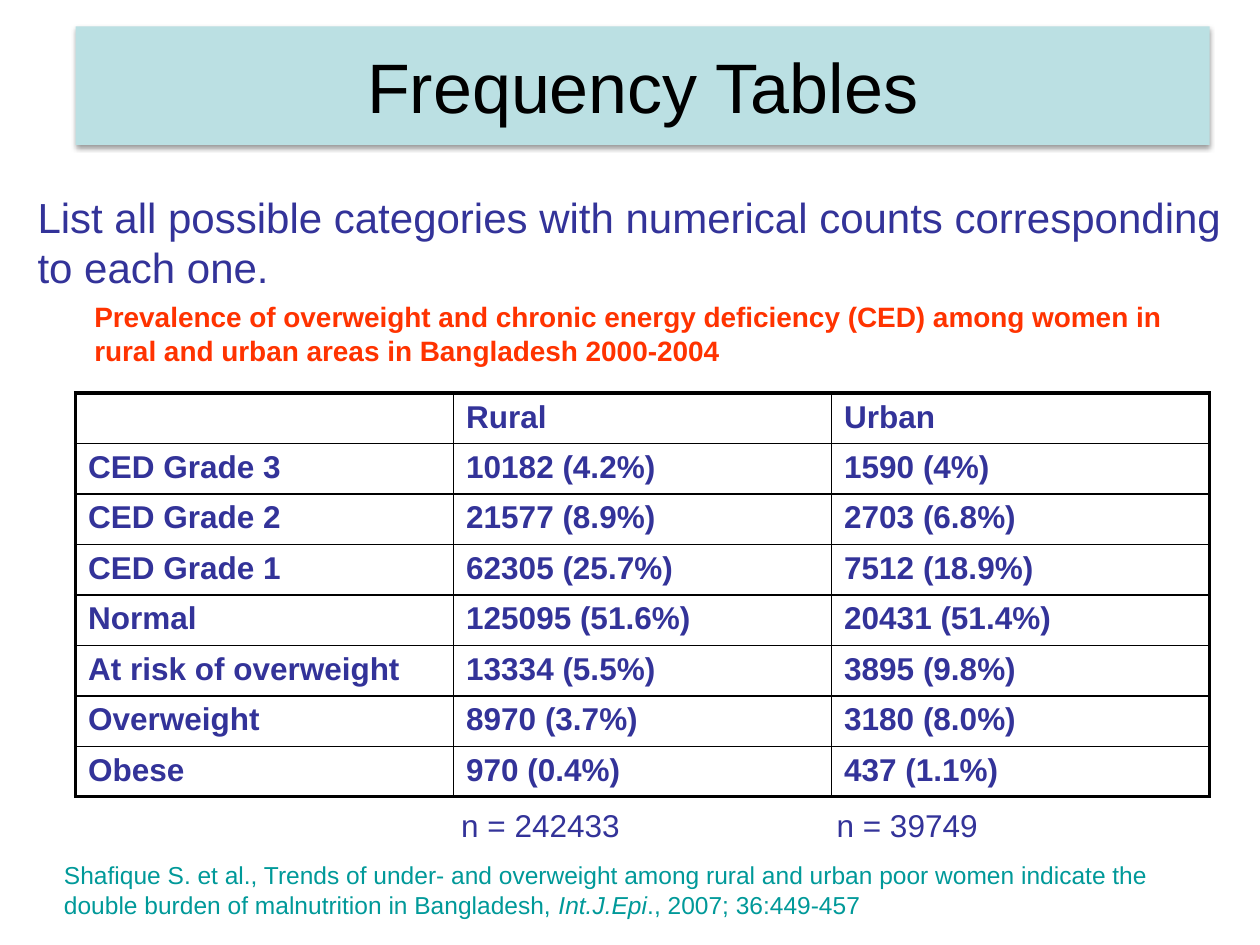
from lxml import etree
from pptx import Presentation
from pptx.dml.color import RGBColor
from pptx.enum import shapes, text
from pptx.oxml import parse_xml
from pptx.oxml.ns import nsdecls, qn
from pptx.util import Inches, Pt

FONT = "Arial"
BLACK = RGBColor(0x00, 0x00, 0x00)
PALE_TEAL = RGBColor(0xBB, 0xE0, 0xE3)
INDIGO = RGBColor(0x33, 0x33, 0x99)
RED = RGBColor(0xFF, 0x33, 0x00)
TEAL = RGBColor(0x00, 0x99, 0x99)

# Content
TITLE = "Frequency Tables"
INTRO = "List all possible categories with numerical counts corresponding to each one."
CAPTION = ("Prevalence of overweight and chronic energy deficiency (CED) among "
           "women in rural and urban areas in Bangladesh 2000-2004")
ROWS = [
    ("", "Rural", "Urban"),
    ("CED Grade 3", "10182 (4.2%)", "1590 (4%)"),
    ("CED Grade 2", "21577 (8.9%)", "2703 (6.8%)"),
    ("CED Grade 1", "62305 (25.7%)", "7512 (18.9%)"),
    ("Normal", "125095 (51.6%)", "20431 (51.4%)"),
    ("At risk of overweight", "13334 (5.5%)", "3895 (9.8%)"),
    ("Overweight", "8970 (3.7%)", "3180 (8.0%)"),
    ("Obese", "970 (0.4%)", "437 (1.1%)"),
]
TOTALS = ["n = 242433", "n = 39749"]
SOURCE = [
    ("Shafique S. et al., Trends of under- and overweight among rural and urban "
     "poor women indicate the double burden of malnutrition in Bangladesh, ", False),
    ("Int.J.Epi", True),
    ("., 2007; 36:449-457", False),
]

# Grid, in inches
LEFT, WIDTH = 0.6, 9
TABLE_TOP, ROW_H = 3.12, 0.4
COL_W = WIDTH / len(ROWS[0])
TOTAL_LEFT, TOTAL_STEP, TOTAL_W = 3.11, 2.91, 2.36
OUTER, INNER = 2.25, 1


def inches(*values):
    return [Inches(v) for v in values]


def write(p, runs, size, color, bold=False, align=text.PP_ALIGN.LEFT):
    p.alignment = align
    for words, italic in runs:
        r = p.add_run()
        r.text = words
        r.font.name, r.font.size = FONT, Pt(size)
        r.font.bold, r.font.italic = bold, italic
        r.font.color.rgb = color


def add_text(slide, box, runs, size, color, **style):
    tf = slide.shapes.add_textbox(*inches(*box)).text_frame
    tf.word_wrap = True
    write(tf.paragraphs[0], runs, size, color, **style)


def set_borders(cell, widths):
    """Line widths in points, keyed by side, in schema order L, R, T, B."""
    tc_pr = cell._tc.get_or_add_tcPr()
    for i, (side, width) in enumerate(widths.items()):
        ln = etree.Element(qn(f"a:ln{side}"), w=str(Pt(width)))
        fill = etree.SubElement(ln, qn("a:solidFill"))
        etree.SubElement(fill, qn("a:srgbClr"), val=str(BLACK))
        tc_pr.insert(i, ln)


prs = Presentation()
prs.slide_width, prs.slide_height = inches(10, 7.5)
slide = prs.slides.add_slide(prs.slide_layouts[6])

# Title banner with a soft shadow below
banner = slide.shapes.add_shape(shapes.MSO_SHAPE.RECTANGLE,
                                *inches(LEFT, 0.21, WIDTH, 0.94))
banner.shadow.inherit = False
banner.fill.solid()
banner.fill.fore_color.rgb = PALE_TEAL
banner.line.fill.background()
banner._element.spPr.find(qn("a:effectLst")).append(parse_xml(
    f'<a:outerShdw {nsdecls("a")} blurRad="{Pt(3.1)}" dist="{Pt(1.6)}" '
    'dir="5400000" rotWithShape="0"><a:srgbClr val="000000">'
    '<a:alpha val="38000"/></a:srgbClr></a:outerShdw>'))
banner.text_frame.vertical_anchor = text.MSO_ANCHOR.MIDDLE
write(banner.text_frame.paragraphs[0], [(TITLE, False)], 40, BLACK,
      align=text.PP_ALIGN.CENTER)

# Introduction
add_text(slide, (0.2, 1.47, 9.8, 0.9), [(INTRO, False)], 24, INDIGO)

# Frequency table
n_rows, n_cols = len(ROWS), len(ROWS[0])
table = slide.shapes.add_table(
    n_rows, n_cols, *inches(LEFT, TABLE_TOP, WIDTH, n_rows * ROW_H)).table
table.first_row = table.horz_banding = False
for col in table.columns:
    col.width = Inches(COL_W)
for i, row in enumerate(ROWS):
    table.rows[i].height = Inches(ROW_H)
    for j, words in enumerate(row):
        cell = table.cell(i, j)
        cell.fill.background()
        if words:
            write(cell.text_frame.paragraphs[0], [(words, False)], 18, INDIGO, bold=True)
        on_edge = {"L": j == 0, "R": j == n_cols - 1, "T": i == 0, "B": i == n_rows - 1}
        set_borders(cell, {side: OUTER if edge else INNER
                           for side, edge in on_edge.items()})

# Table caption, column totals and source
add_text(slide, (0.65, 2.33, 8.9, 0.64), [(CAPTION, False)], 16, RED, bold=True)
for k, total in enumerate(TOTALS):
    add_text(slide, (TOTAL_LEFT + k * TOTAL_STEP, 6.35, TOTAL_W, 0.4),
             [(total, False)], 18, INDIGO, align=text.PP_ALIGN.CENTER)
add_text(slide, (0.41, 6.78, 9.37, 0.57), SOURCE, 14, TEAL)

prs.save("out.pptx")
